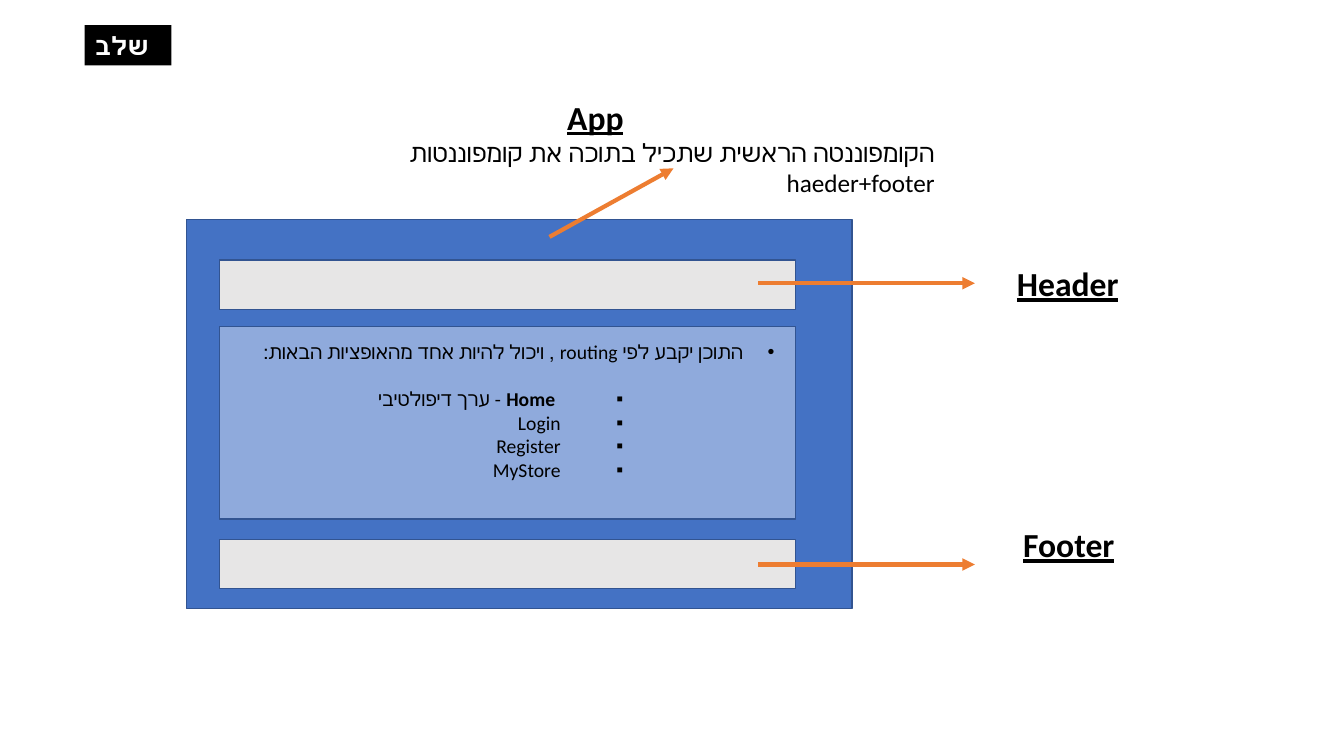
from pptx import Presentation
from pptx.dml.color import RGBColor
from pptx.enum.shapes import MSO_CONNECTOR, MSO_SHAPE
from pptx.enum.text import MSO_ANCHOR, MSO_AUTO_SIZE, PP_ALIGN
from pptx.oxml.ns import qn
from pptx.util import Inches, Pt
from lxml import etree

COLORS = {"app": "4472C4", "bar": "E7E6E6", "content": "8FAADC", "border": "325491",
          "arrow": "ED7D31", "black": "000000", "white": "FFFFFF"}

# Content
STEP = "שלב 1"
APP_TITLE = "App"
APP_NOTE = "הקומפוננטה הראשית שתכיל בתוכה את קומפוננטות haeder+footer"
LABELS = [("Header", (9.98, 2.56, 1.22, 0.5)), ("Footer", (10.04, 5.15, 1.12, 0.5))]
ROUTING_NOTE = "התוכן יקבע לפי routing , ויכול להיות אחד מהאופציות הבאות:"
PAGES = [(" Home", " - ערך דיפולטיבי"), ("Login", ""), ("Register", ""), ("MyStore", "")]

# Layout: the panels inside the app share one left edge and width
PANEL_LEFT, PANEL_WIDTH = 2.18, 5.71
PANELS = [("bar", 2.58, 0.49), ("bar", 5.35, 0.49), ("content", 3.24, 1.91)]
ARROWS = [(5.45, 2.35, 6.68, 1.67)] + [(7.52, y, 9.67, y) for y in (2.81, 5.6)]

prs = Presentation()
prs.slide_width, prs.slide_height = Inches(13.33), Inches(7.5)
slide = prs.slides.add_slide(prs.slide_layouts[6])


def rgb(name):
    return RGBColor.from_string(COLORS[name])


def add_box(fill, box, border="border"):
    shape = slide.shapes.add_shape(MSO_SHAPE.RECTANGLE, *map(Inches, box))
    shape.shadow.inherit = False
    shape.fill.solid()
    shape.fill.fore_color.rgb = rgb(fill)
    if border:
        shape.line.color.rgb = rgb(border)
        shape.line.width = Pt(1)
    else:
        shape.line.fill.background()
    return shape


def add_arrow(ends):
    arrow = slide.shapes.add_connector(MSO_CONNECTOR.STRAIGHT, *map(Inches, ends))
    arrow.line.color.rgb = rgb("arrow")
    arrow.line.width = Pt(3)
    etree.SubElement(arrow.line._get_or_add_ln(), qn("a:tailEnd"), type="triangle")
    etree.SubElement(arrow._element.spPr, qn("a:effectLst"))


def add_text_frame(box, wrap=False):
    frame = slide.shapes.add_textbox(*map(Inches, box)).text_frame
    frame.word_wrap = wrap
    frame.auto_size = MSO_AUTO_SIZE.NONE if wrap else MSO_AUTO_SIZE.SHAPE_TO_FIT_TEXT
    return frame


def style(paragraph, size, align, color="black", bold=None, underline=None, rtl=True):
    paragraph.alignment = align
    if rtl:
        paragraph._p.get_or_add_pPr().set("rtl", "1")
    font = paragraph.font
    font.name, font.size, font.bold, font.underline = "Calibri", Pt(size), bold, underline
    font.color.rgb = rgb(color)


def add_heading(frame, text):
    heading = frame.paragraphs[0]
    heading.add_run().text = text
    style(heading, 24, PP_ALIGN.CENTER, bold=True, underline=True)


def add_bullet(paragraph, char, margin, hanging):
    props = paragraph._p.get_or_add_pPr()
    props.set("marL", str(Inches(margin)))
    props.set("indent", str(-Inches(hanging)))
    bullet_font = etree.Element(qn("a:buFont"), typeface="Arial")
    bullet = etree.Element(qn("a:buChar"), char=char)
    defaults = props.find(qn("a:defRPr"))
    defaults.addprevious(bullet_font)
    defaults.addprevious(bullet)


# App with its header, footer and content panels
add_box("app", (1.85, 2.18, 6.6, 3.86))
for fill, top, height in PANELS:
    add_box(fill, (PANEL_LEFT, top, PANEL_WIDTH, height))
for ends in ARROWS:
    add_arrow(ends)

# Component labels
app_frame = add_text_frame((2.44, 0.91, 6.93, 0.81))
add_heading(app_frame, APP_TITLE)
app_note = app_frame.add_paragraph()
app_note.add_run().text = APP_NOTE
style(app_note, 18, PP_ALIGN.RIGHT)
for label, box in LABELS:
    add_heading(add_text_frame(box), label)

# Step tag
step_frame = add_box("black", (0.84, 0.25, 0.86, 0.4), border=None).text_frame
step_frame.word_wrap = False
step_frame.auto_size = MSO_AUTO_SIZE.SHAPE_TO_FIT_TEXT
step_frame.vertical_anchor = MSO_ANCHOR.TOP
step = step_frame.paragraphs[0]
step.add_run().text = STEP
style(step, 18, PP_ALIGN.LEFT, color="white", bold=True, rtl=False)

# Routing options in the content panel
routing_frame = add_text_frame((1.28, 3.32, 6.5, 1.75), wrap=True)
routing = routing_frame.paragraphs[0]
routing.add_run().text = ROUTING_NOTE
style(routing, 14, PP_ALIGN.RIGHT)
add_bullet(routing, "•", 0.31, 0.31)
for index, (page, remark) in enumerate(PAGES):
    option = routing_frame.add_paragraph()
    option.level = 3
    if index == 0:
        option.space_before = Pt(17)
    name = option.add_run()
    name.text = page
    if remark:
        name.font.bold = True
        option.add_run().text = remark
    style(option, 14, PP_ALIGN.RIGHT)
    add_bullet(option, "▪", 2.12, 0.62)

prs.save("out.pptx")
